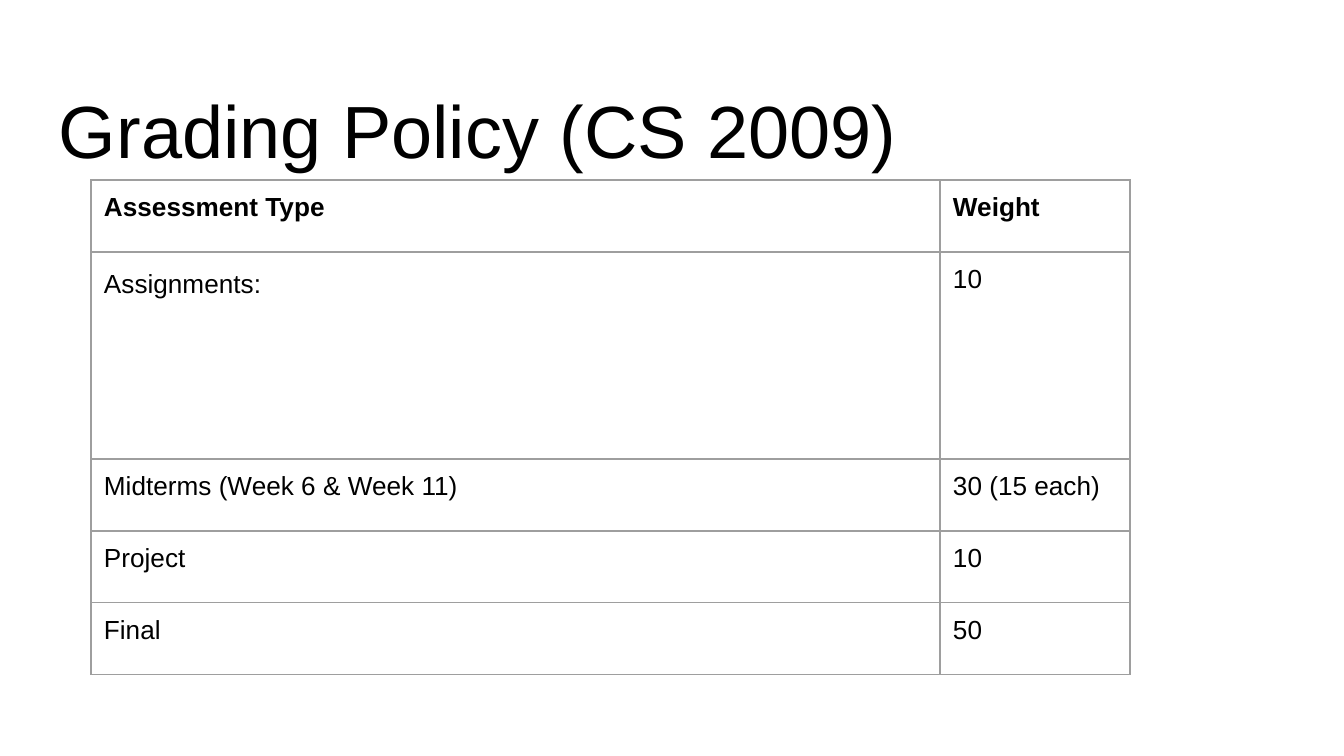
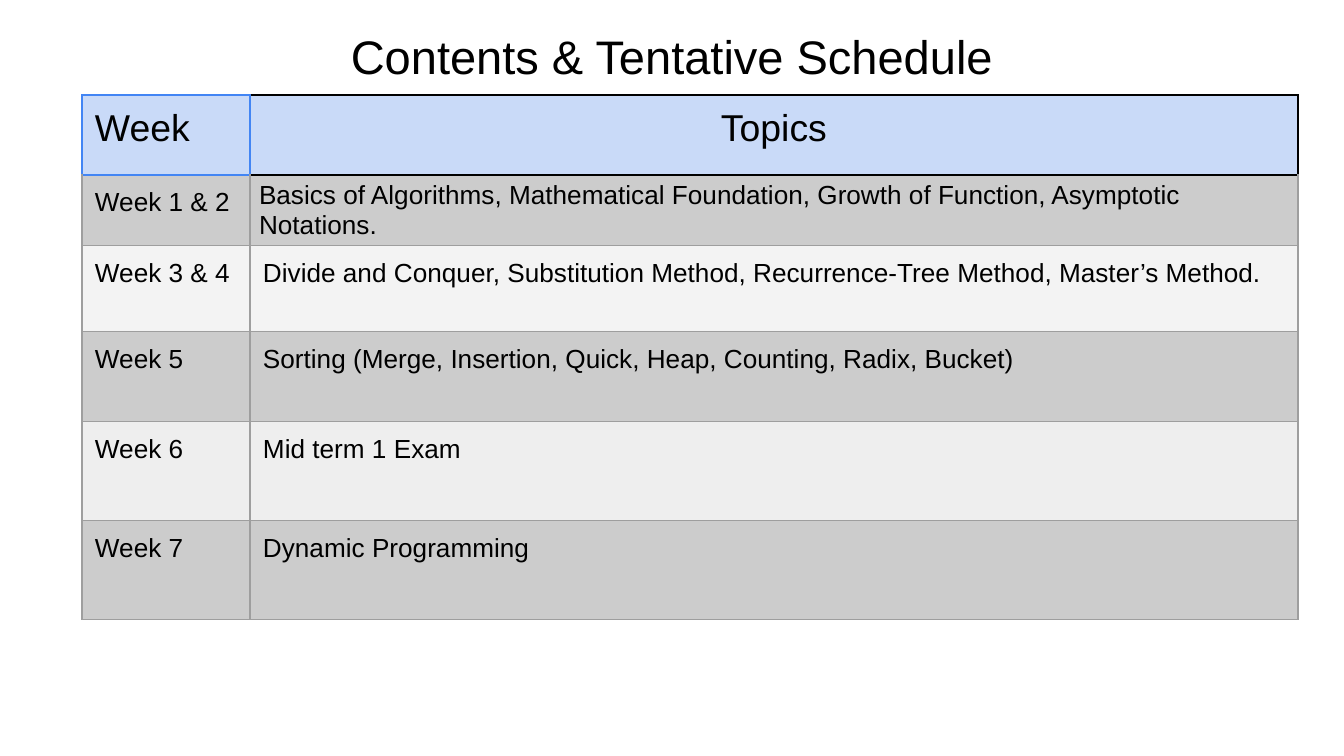
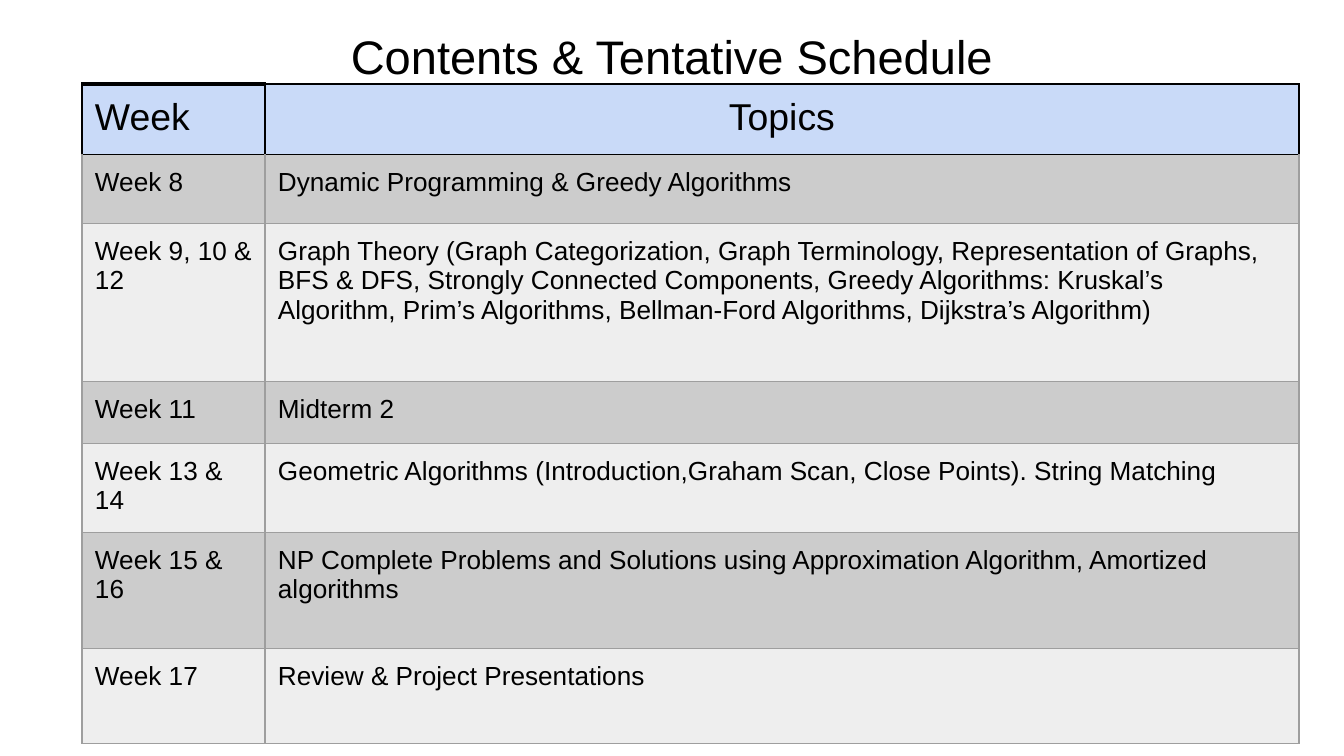
from lxml.etree import SubElement
from pptx import Presentation
from pptx.dml.color import RGBColor as Rgb
from pptx.enum.text import MSO_ANCHOR as Anchor, PP_ALIGN as Align
from pptx.oxml.ns import qn
from pptx.util import Pt

EMU_PER_PX = 9144000 / 1344
FONT = "Arial"
COLORS = {
    "text": "000000",
    "grid": "9E9E9E",
    "header": "C9DAF8",
    "blue": "4285F4",
    "dark": "CCCCCC",
    "pale": "F3F3F3",
    "light": "EEEEEE",
}
INSET = 13
SCHEDULE_HEADER = ("Week", "Topics")


def emu(px):
    return round(px * EMU_PER_PX)


def write(frame, text, size=14, bold=False, align=Align.LEFT, spacing=None):
    """Fill a text frame, one paragraph for each line of text."""
    for index, line in enumerate(text.split("\n")):
        para = frame.add_paragraph() if index else frame.paragraphs[0]
        para.alignment = align
        if spacing:
            para.line_spacing = spacing
        span = para.add_run()
        span.text = line
        font = span.font
        font.name, font.size, font.bold = FONT, Pt(size), bold
        font.color.rgb = Rgb.from_string(COLORS["text"])


def set_margins(target, left, top, right, bottom):
    target.margin_left, target.margin_top = emu(left), emu(top)
    target.margin_right, target.margin_bottom = emu(right), emu(bottom)


def set_borders(cell, colors, top_width):
    """Colour the left, right, top and bottom edges, in that order."""
    properties = cell._tc.get_or_add_tcPr()
    for side, color in zip("LRTB", colors):
        width = top_width if side == "T" else 0.75
        line = SubElement(properties, qn(f"a:ln{side}"), w=str(Pt(width)))
        fill = SubElement(line, qn("a:solidFill"))
        SubElement(fill, qn("a:srgbClr"), val=COLORS[color])


class CourseDeck:
    """Holds the deck, its style and the current page."""

    def __init__(self):
        self.deck = Presentation()
        self.deck.slide_width, self.deck.slide_height = emu(1344), emu(756)
        self.page = None

    def add_page(self):
        self.page = self.deck.slides.add_slide(self.deck.slide_layouts[6])

    def add_title(self, text, top, size, align=Align.LEFT):
        box = self.page.shapes.add_textbox(emu(46), emu(top), emu(1252), emu(85))
        frame = box.text_frame
        frame.word_wrap = True
        frame.vertical_anchor = Anchor.TOP
        set_margins(frame, INSET, 19, INSET, INSET)
        write(frame, text, size, align=align)

    def add_grid(self, left, top, widths, heights, rows, fills=None,
                 header_lines=("grid", "grid"), corner_width=0.75):
        """Add a table; header_lines colours the header edges column by column."""
        shape = self.page.shapes.add_table(
            len(heights), len(widths), emu(left), emu(top),
            emu(sum(widths)), emu(sum(heights)))
        table = shape.table
        table.first_row = table.horz_banding = False
        for column, width in zip(table.columns, widths):
            column.width = emu(width)
        for row, height in zip(table.rows, heights):
            row.height = emu(height)
        for r, texts in enumerate(rows):
            for c, text in enumerate(texts):
                cell = table.cell(r, c)
                edge = header_lines[c]
                if r == 0:
                    lines = (header_lines[max(c - 1, 0)], edge, edge, edge)
                else:
                    lines = ("grid", "grid", edge if r == 1 else "grid", "grid")
                set_borders(cell, lines, corner_width if r == c == 0 else 0.75)
                if fills:
                    cell.fill.solid()
                    cell.fill.fore_color.rgb = Rgb.from_string(COLORS[fills[r]])
                else:
                    cell.fill.background()
                set_margins(cell, INSET, INSET, INSET, INSET)
                self.write_cell(cell, text, r, c, schedule=bool(fills))
        return table

    def write_cell(self, cell, text, row, column, schedule):
        if row == 0 and schedule:
            write(cell.text_frame, text, 20,
                  align=Align.CENTER if column else Align.LEFT)
        else:
            spacing = 1.15 if text == "Assignments:" else None
            write(cell.text_frame, text, bold=row == 0, spacing=spacing)

    def add_schedule(self, top, widths, heights, topics, fills, **lines):
        self.add_page()
        self.add_title("Contents & Tentative Schedule", 9, 25.2, Align.CENTER)
        return self.add_grid(82, top, widths, heights,
                             [SCHEDULE_HEADER, *topics], ["header", *fills], **lines)


def main():
    course = CourseDeck()

    course.add_page()
    course.add_title("Grading Policy (CS 2009)", 66, 39.6)
    course.add_grid(91, 180, (849, 190), (72, 207, 72, 72, 72), [
        ("Assessment Type", "Weight"),
        ("Assignments:", "10"),
        ("Midterms (Week 6 & Week 11)", "30 (15 each)"),
        ("Project", "10"),
        ("Final", "50"),
    ])

    first_half = course.add_schedule(95, (168, 1048), (80, 71, 86, 90, 99, 99), [
        ("Week 1 & 2", "Basics of Algorithms, Mathematical Foundation, "
                       "Growth of Function, Asymptotic Notations."),
        ("Week 3 & 4", "Divide and Conquer, Substitution Method, "
                       "Recurrence-Tree Method, Master’s Method."),
        ("Week 5", "Sorting (Merge, Insertion, Quick, Heap, Counting, Radix, Bucket)"),
        ("Week 6", "Mid term 1 Exam"),
        ("Week 7", "Dynamic Programming"),
    ], ["dark", "pale", "dark", "light", "dark"], header_lines=("blue", "text"))
    basics = first_half.cell(1, 1)
    basics.vertical_anchor = Anchor.MIDDLE
    set_margins(basics, 9, 0, 9, 0)

    course.add_schedule(84, (183, 1034), (69, 69, 158, 62, 86, 116, 95), [
        ("Week 8", "Dynamic Programming & Greedy Algorithms"),
        ("Week 9, 10 & 12", "Graph Theory (Graph Categorization, Graph Terminology, "
                            "Representation of Graphs, BFS & DFS, Strongly Connected "
                            "Components, Greedy Algorithms: Kruskal’s Algorithm, "
                            "Prim’s Algorithms, Bellman-Ford Algorithms, "
                            "Dijkstra’s Algorithm)"),
        ("Week 11", "Midterm 2"),
        ("Week 13 & 14", "Geometric Algorithms (Introduction,Graham Scan, "
                         "Close Points). String Matching"),
        ("Week 15 & 16", "NP Complete Problems and Solutions using "
                         "Approximation Algorithm, Amortized\nalgorithms"),
        ("Week 17", "Review & Project Presentations"),
    ], ["dark", "light"] * 3, header_lines=("text", "text"), corner_width=2.25)

    course.deck.save("out.pptx")


if __name__ == "__main__":
    main()
